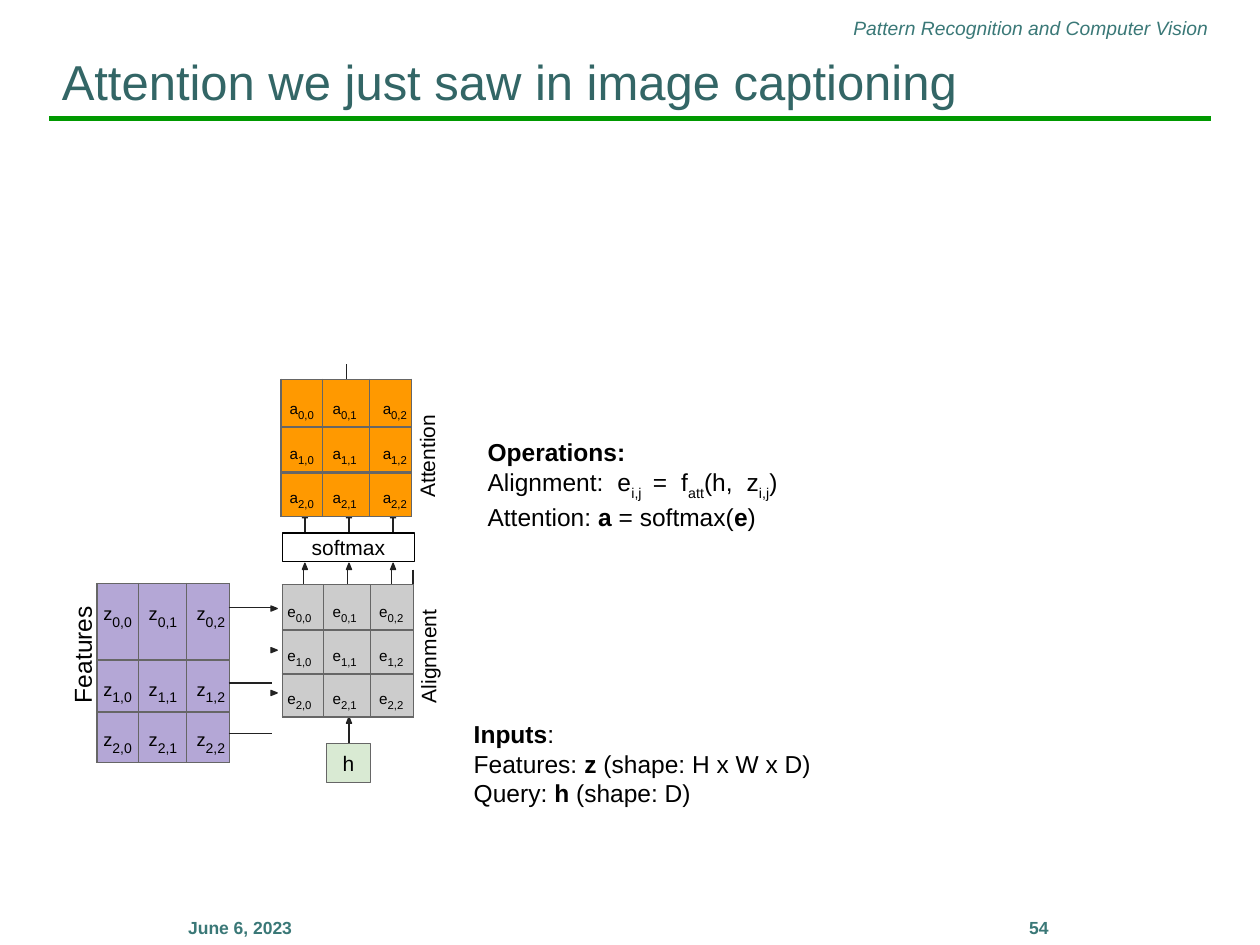
"""Build a slide on attention in image captioning."""
import lxml.etree
import pptx
import pptx.dml.color
import pptx.enum.shapes
import pptx.enum.text
import pptx.oxml.ns
import pptx.util

Inches = pptx.util.Inches
Pt = pptx.util.Pt
qn = pptx.oxml.ns.qn
ALIGN = pptx.enum.text.PP_ALIGN
ANCHOR = pptx.enum.text.MSO_ANCHOR
PLAIN_TABLE = "{2D5ABB26-0587-4C30-8999-92F81FD0307C}"
DARK, GRAY, TEAL = "222222", "666666", "3A7877"


def rgb(value):
    return pptx.dml.color.RGBColor.from_string(value)


def write(paragraph, *pieces, size=14, color="000000", font="Arial", bold=False,
          italic=False, align=ALIGN.LEFT, indent=0, spacing=None):
    paragraph.alignment = align
    paragraph._p.get_or_add_pPr().set("marL", str(Inches(indent)))
    if spacing:
        paragraph.line_spacing = Pt(spacing)
    for piece in pieces:
        words, own = (piece, {}) if isinstance(piece, str) else piece
        run = paragraph.add_run()
        run.text = words
        run.font.name = font
        run.font.size = Pt(own.get("size", size))
        run.font.bold = own.get("bold", bold)
        run.font.italic = italic
        run.font.color.rgb = rgb(color)
        if "shift" in own:
            run.font._element.set("baseline", str(own["shift"] * 1000))


def strong(words):
    return words, {"bold": True}


def sub(words):
    return words, {"shift": -31}


class Deck:
    def __init__(self):
        self.show = pptx.Presentation()
        self.show.slide_width, self.show.slide_height = Inches(10), Inches(7.5)
        self.slide = self.show.slides.add_slide(self.show.slide_layouts[5])
        self.shapes = self.slide.shapes

    def frame(self, shape, inset=0.0, anchor=ANCHOR.TOP):
        frame = shape.text_frame
        frame.word_wrap = True
        frame.vertical_anchor = anchor
        frame.margin_left = frame.margin_right = Inches(inset * 2)
        frame.margin_top = frame.margin_bottom = Inches(inset)
        return frame

    def title(self, box, words):
        heading = self.shapes.title
        heading.left, heading.top, heading.width, heading.height = map(Inches, box)
        frame = self.frame(heading, 0.05, ANCHOR.BOTTOM)
        write(frame.paragraphs[0], words, size=28, color="336666")

    def text(self, box, *lines, inset=0.0, upward=False, **style):
        frame = self.frame(self.shapes.add_textbox(*map(Inches, box)), inset)
        if upward:
            frame._txBody.bodyPr.set("vert", "vert270")
        for number, pieces in enumerate(lines):
            paragraph = frame.add_paragraph() if number else frame.paragraphs[0]
            write(paragraph, *pieces, **style)

    def box(self, box, label, edge, fill=None):
        node = self.shapes.add_shape(pptx.enum.shapes.MSO_SHAPE.RECTANGLE, *map(Inches, box))
        node.shadow.inherit = False
        if fill:
            node.fill.solid()
            node.fill.fore_color.rgb = rgb(fill)
        else:
            node.fill.background()
        node.line.color.rgb = rgb(edge)
        node.line.width = Pt(0.75)
        frame = self.frame(node, anchor=ANCHOR.MIDDLE)
        write(frame.paragraphs[0], label, size=12, align=ALIGN.CENTER)

    def line(self, start, end, color=DARK, width=0.75):
        stroke = self.shapes.add_connector(
            pptx.enum.shapes.MSO_CONNECTOR.STRAIGHT, *map(Inches, (*start, *end)))
        stroke.line.color.rgb = rgb(color)
        stroke.line.width = Pt(width)
        lxml.etree.SubElement(stroke._element.spPr, qn("a:effectLst"))

    def head(self, x, y, upward=True):
        if upward:
            corners = [(x - 0.02, y + 0.05), (x, y), (x + 0.02, y + 0.05)]
        else:
            corners = [(x - 0.05, y - 0.02), (x, y), (x - 0.05, y + 0.02)]
        points = [(Inches(across), Inches(down)) for across, down in corners]
        builder = self.shapes.build_freeform(*points[0], scale=1.0)
        builder.add_line_segments(points[1:], close=True)
        tip = builder.convert_to_shape()
        tip.shadow.inherit = False
        tip.fill.solid()
        tip.fill.fore_color.rgb = rgb(DARK)
        tip.line.color.rgb = rgb(DARK)
        tip.line.width = Pt(0.75)

    def table(self, left, top, widths, heights):
        table = self.shapes.add_table(
            len(heights), len(widths),
            *map(Inches, (left, top, sum(widths), sum(heights)))).table
        table.first_row = table.horz_banding = False
        table._tbl.tblPr.find(qn("a:tableStyleId")).text = PLAIN_TABLE
        for column, width in zip(table.columns, widths):
            column.width = Inches(width)
        for row, height in zip(table.rows, heights):
            row.height = Inches(height)
        for cell in table.iter_cells():
            cell.margin_left = cell.margin_right = cell.margin_top = cell.margin_bottom = 0
            paragraph = cell.text_frame.paragraphs[0]
            lxml.etree.SubElement(paragraph._p, qn("a:endParaRPr"), sz="400")
        return table

    def cell(self, table, row, column, rows=1, columns=1, fill=None, **edges):
        cell = table.cell(row, column)
        if rows * columns > 1:
            cell.merge(table.cell(row + rows - 1, column + columns - 1))
        properties = cell._tc.get_or_add_tcPr()
        for side in "LRTB":
            if side in edges:
                color, width = edges[side]
                border = lxml.etree.SubElement(properties, qn("a:ln" + side), w=str(Pt(width)))
                solid = lxml.etree.SubElement(border, qn("a:solidFill"))
                lxml.etree.SubElement(solid, qn("a:srgbClr"), val=color)
        if fill:
            cell.fill.solid()
            cell.fill.fore_color.rgb = rgb(fill)
        else:
            cell.fill.background()
        return cell

    def matrix(self, table, letter, fill, spans, insets, layout, sizes,
               raised, first_row=0, rows=1):
        thin, thick = (GRAY, 0.75), (GRAY, 1.5)
        for i, inset in enumerate(insets):
            for j, (column, columns) in enumerate(spans):
                cell = self.cell(table, first_row + i * rows, column, rows, columns, fill,
                                 L=thin, R=thin, T=thick if i else thin,
                                 B=thick if i < 2 else thin)
                cell.margin_top = Inches(inset)
                write(cell.text_frame.paragraphs[0],
                      (letter, {"size": sizes[0], "shift": raised}), f"{i},{j}",
                      size=sizes[1], **layout[j])


def main():
    deck = Deck()
    stem = (DARK, 1)
    deck.line((0.39, 0.94), (9.61, 0.94), "009900", 3)
    deck.text((4.22, 0.08, 5.47, 0.29), ["Pattern Recognition and Computer Vision"],
              inset=0.05, size=11, color=TEAL, italic=True, align=ALIGN.RIGHT)
    for left, footer in ((7.12, "54"), (0.78, "June 6, 2023")):
        deck.text((left, 7.23, 2.25, 0.5), [footer], inset=0.05, size=10,
                  color=TEAL, bold=True, align=ALIGN.CENTER)
    deck.title((0.39, 0.23, 9.22, 0.7), "Attention we just saw in image captioning")

    for box, name, size, spacing in (((3.3, 4.82, 0.21, 0.77), "Alignment", 12, 14.2),
                                     ((0.54, 4.8, 0.25, 0.79), "Features", 14, 16.4),
                                     ((3.29, 3.28, 0.21, 0.68), "Attention", 12, 14.2)):
        deck.text(box, [name], upward=True, size=size, spacing=spacing, indent=0.01)

    deck.box((2.59, 5.9, 0.35, 0.31), "h", GRAY, "D9EAD3")
    deck.line((2.77, 5.9), (2.77, 5.73))
    deck.head(2.77, 5.69)

    features = deck.table(0.77, 4.63, [0.33, 0.38, 0.34, 0.34],
                          [0.19, 0.4, 0.18, 0.22, 0.17, 0.21])
    deck.matrix(features, "z", "B4A7D6", [(0, 1), (1, 1), (2, 1)], [0.12, 0.11, 0.1],
                [{"indent": 0.05}, {"indent": 0.08}, {"indent": 0.08}], (18, 8), 21, rows=2)
    deck.cell(features, 0, 3, L=(GRAY, 0.75), B=stem)
    for row in (1, 3):
        deck.cell(features, row, 3, 2, L=(GRAY, 0.75), T=stem, B=stem)
    deck.cell(features, 5, 3, L=(GRAY, 0.75), T=stem)
    for y in (4.83, 5.16, 5.5):
        deck.head(2.2, y, upward=False)

    alignment = deck.table(2.24, 4.52, [0.17, 0.16, 0.19, 0.18, 0.17, 0.17],
                           [0.12, 0.35, 0.34, 0.34])
    for column, columns in ((0, 1), (1, 2), (3, 2), (5, 1)):
        sides = {"L": stem} if column else {}
        deck.cell(alignment, 0, column, 1, columns, R=stem, B=(GRAY, 0.75), **sides)
    deck.matrix(alignment, "e", "CCCCCC", [(0, 2), (2, 2), (4, 2)], [0.11, 0.1, 0.09],
                [{"indent": 0.04}, {"indent": 0.07}, {"indent": 0.07}], (15, 6.5), 19,
                first_row=1)

    deck.box((2.24, 4.23, 1.05, 0.23), "softmax", "000000")
    for x in (2.42, 2.77, 3.12):
        deck.head(x, 4.47)
        deck.line((x, 4.22), (x, 4.11))
        deck.head(x, 4.06)

    attention = deck.table(2.23, 2.89, [0.33, 0.19, 0.18, 0.34], [0.12, 0.38, 0.36, 0.35])
    deck.cell(attention, 0, 0, 1, 2, R=stem, B=(GRAY, 0.75))
    deck.cell(attention, 0, 2, 1, 2, L=stem, B=(GRAY, 0.75))
    deck.matrix(attention, "a", "FF9900", [(0, 1), (1, 2), (3, 1)], [0.13, 0.11, 0.1],
                [{"align": ALIGN.CENTER}, {"indent": 0.08}, {"align": ALIGN.RIGHT}],
                (15, 6.5), 19, first_row=1)
    for row in (1, 2, 3):
        attention.cell(row, 3).margin_right = Inches(0.04)

    deck.text((3.75, 5.71, 2.81, 0.67), [strong("Inputs"), ":"],
              ["Features: ", strong("z "), "(shape: H x W x D)"],
              ["Query: ", strong("h "), "(shape: D)"], indent=0.01)
    deck.text((3.83, 3.47, 2.34, 0.72), [strong("Operations:")],
              ["Alignment: e", sub("i,j "), "= f", sub("att"), "(h, z", sub("i,j"),
               ") Attention: ", strong("a "), "= softmax(", strong("e"), ")"],
              indent=0.04, align=ALIGN.JUSTIFY)
    deck.show.save("out.pptx")


if __name__ == "__main__":
    main()
